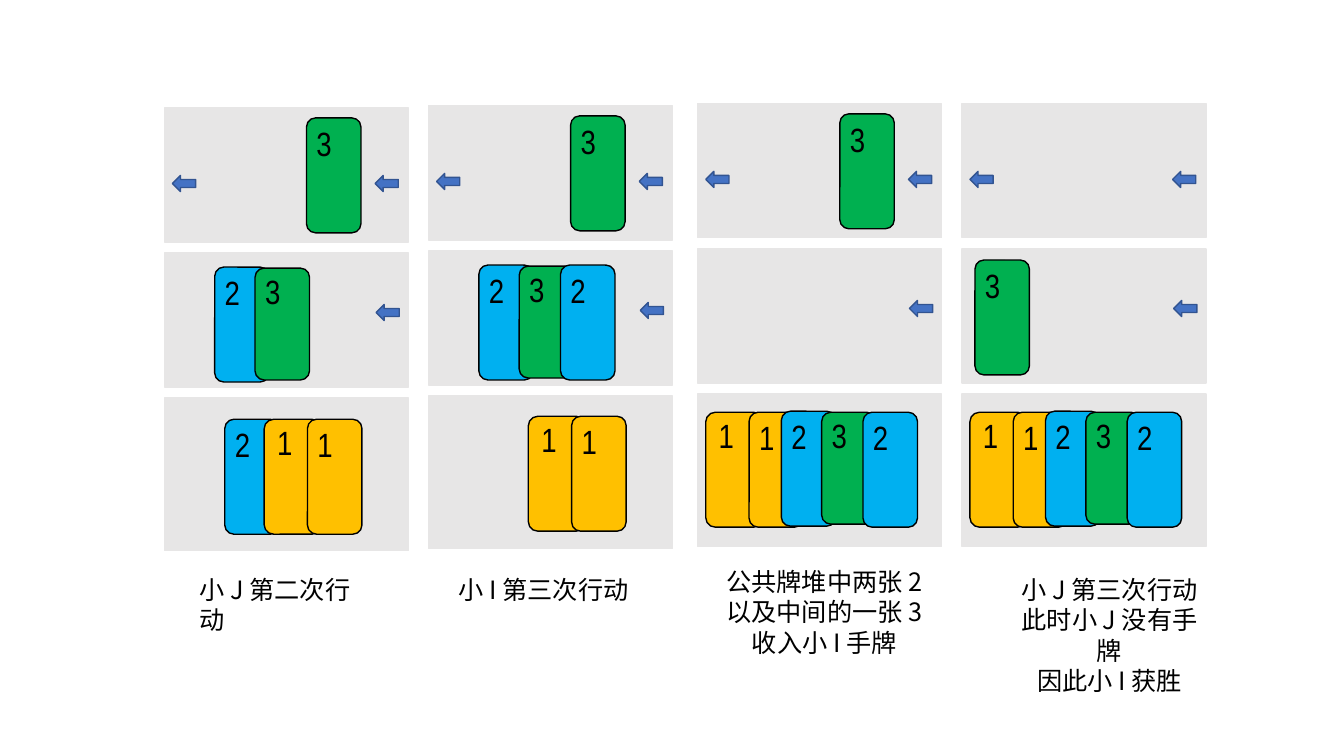
from dataclasses import dataclass

from lxml import etree
from pptx import Presentation
from pptx import util as u
from pptx.dml.color import RGBColor
from pptx.enum import shapes, text
from pptx.oxml.ns import qn

# Every length counts cells of a square grid, 1333 columns by 750 rows.
CELL = u.Inches(0.01)
COLUMNS, ROWS = 1333, 750


@dataclass(frozen=True)
class Theme:
    ink: str = "000000"
    panel: str = "E7E6E6"
    arrow: str = "4472C4"
    arrow_edge: str = "325491"
    digit_font: str = "Arial Narrow"
    caption_font: str = "Noto Sans CJK SC"
    digit_size: int = 24
    caption_size: int = 18
    line_width: int = 1


THEME = Theme()
CARD_COLOURS = {1: "FFC000", 2: "00B0F0", 3: "00B050"}

PANEL_WIDTH = 242
PANEL_HEIGHTS = (133, 133, 151)
PANEL_PITCH = 144
CARD_WIDTH, CARD_HEIGHT = 54, 114
ARROW_WIDTH, ARROW_HEIGHT = 23, 16
ARROWS = ((8, 67), (209, 67), (210, 195))
TOP_CARD = [(3, 141, 10)]
HAND = [(1, 8, 18), (1, 51, 18), (2, 83, 17), (3, 123, 18), (2, 164, 18)]

# Each stage: its corner, three rows of cards as (number, left, top) in their
# panel, and its caption as (left, top, width, height), alignment and lines.
LEFT, CENTER = text.PP_ALIGN.LEFT, text.PP_ALIGN.CENTER
STAGES = (
    ((163, 107),
     (TOP_CARD, [(2, 50, 14), (3, 90, 15)],
      [(2, 60, 21), (1, 99, 21), (1, 142, 21)]),
     (188, 565, 194, 40), LEFT, ("小 J 第二次行动",)),
    ((425, 105),
     (TOP_CARD, [(2, 50, 14), (3, 90, 15), (2, 131, 14)],
      [(1, 99, 20), (1, 142, 20)]),
     (445, 565, 192, 40), LEFT, ("小 I 第三次行动",)),
    ((692, 103),
     (TOP_CARD, [], HAND),
     (709, 557, 217, 101), CENTER,
     ("公共牌堆中两张 2", "以及中间的一张 3", "收入小 I 手牌")),
    ((954, 103),
     ([], [(3, 13, 11)], HAND),
     (991, 565, 219, 101), CENTER,
     ("小 J 第三次行动", "此时小 J 没有手牌", "因此小 I 获胜")),
)


def cells(*counts):
    return [count * CELL for count in counts]


def add_block(slide, kind, box, fill, line):
    """Add a filled and outlined preset shape."""
    shape = slide.shapes.add_shape(kind, *cells(*box))
    shape.shadow.inherit = False
    shape.fill.solid()
    shape.fill.fore_color.rgb = RGBColor.from_string(fill)
    shape.line.color.rgb = RGBColor.from_string(line)
    shape.line.width = u.Pt(THEME.line_width)
    return shape


def add_text(slide, lines, box, *, font, size, align):
    frame = slide.shapes.add_textbox(*cells(*box)).text_frame
    frame.word_wrap = True
    frame.auto_size = text.MSO_AUTO_SIZE.SHAPE_TO_FIT_TEXT
    for index, line in enumerate(lines):
        paragraph = frame.add_paragraph() if index else frame.paragraphs[0]
        paragraph.alignment = align
        run = paragraph.add_run()
        run.text = line
        run.font.name = font
        run.font.size = u.Pt(size)
        run.font.color.rgb = RGBColor.from_string(THEME.ink)
        east_asian = etree.SubElement(run.font._element, qn("a:ea"))
        east_asian.set("typeface", font)


def add_card(slide, number, left, top, *, wide, short):
    width = CARD_WIDTH + 3 * wide
    height = CARD_HEIGHT - 3 * short
    add_block(slide, shapes.MSO_SHAPE.ROUNDED_RECTANGLE,
              (left, top, width, height), CARD_COLOURS[number], THEME.ink)
    raised = 2 if wide or short else 0
    add_text(slide, [str(number)], (left + 3 * wide, top - raised, 25, 50),
             font=THEME.digit_font, size=THEME.digit_size, align=CENTER)


def add_fan(slide, cards, left, top):
    """Overlap cards from left to right inside the panel at left, top."""
    for index, (number, x, y) in enumerate(cards):
        following = cards[index + 1][0] if index + 1 < len(cards) else None
        add_card(slide, number, left + x, top + y,
                 wide=number == following == 1,
                 short=number == 3 and len(cards) > 1)


def add_stage(slide, corner, rows, caption_box, align, caption):
    left, top = corner
    for row, (height, cards) in enumerate(zip(PANEL_HEIGHTS, rows)):
        panel_top = top + row * PANEL_PITCH
        add_block(slide, shapes.MSO_SHAPE.RECTANGLE,
                  (left, panel_top, PANEL_WIDTH, height),
                  THEME.panel, THEME.panel)
        add_fan(slide, cards, left, panel_top)
    for x, y in ARROWS:
        arrow = add_block(slide, shapes.MSO_SHAPE.RIGHT_ARROW,
                          (left + x, top + y, ARROW_WIDTH, ARROW_HEIGHT),
                          THEME.arrow, THEME.arrow_edge)
        arrow.rotation = 180
    add_text(slide, caption, caption_box, font=THEME.caption_font,
             size=THEME.caption_size, align=align)


def main():
    presentation = Presentation()
    presentation.slide_width, presentation.slide_height = cells(COLUMNS, ROWS)
    slide = presentation.slides.add_slide(presentation.slide_layouts[6])
    for stage in STAGES:
        # The first two arrows of column 4 share the column's own corner.
        add_stage(slide, *stage)
    presentation.save("out.pptx")


if __name__ == "__main__":
    main()
